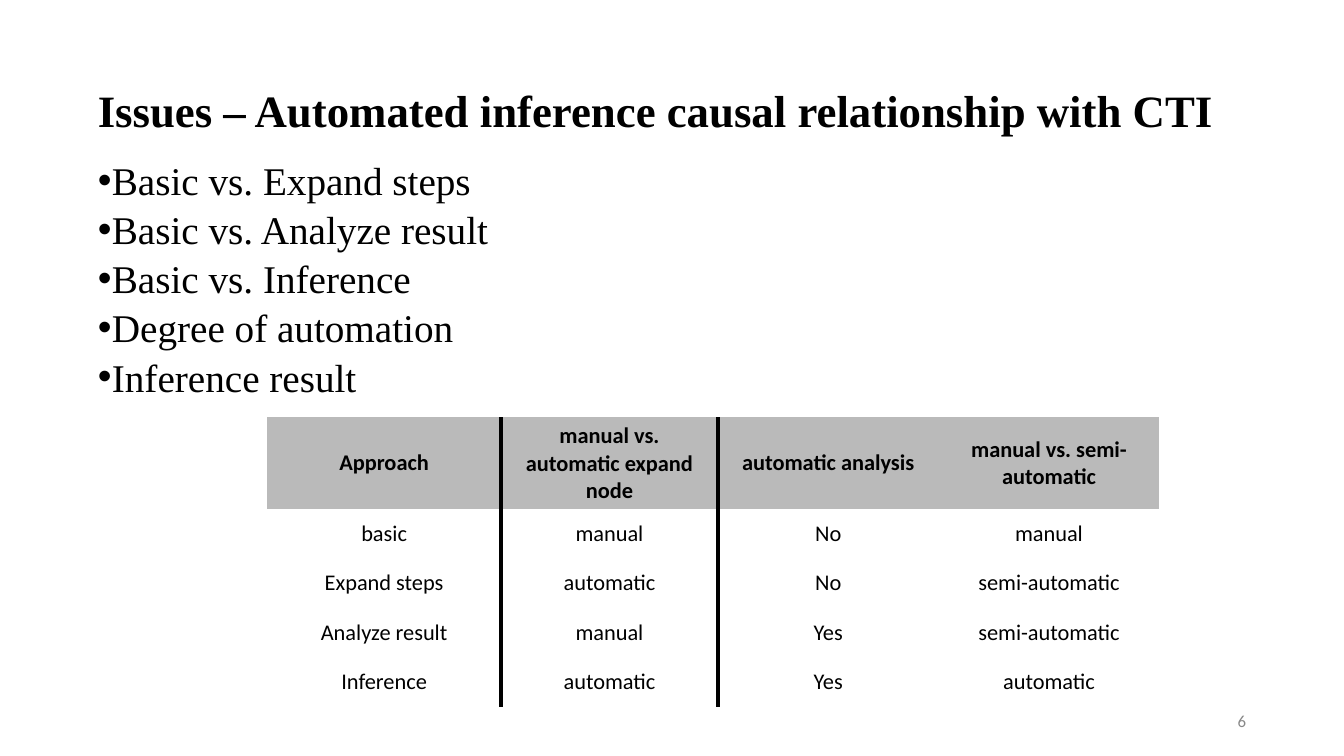
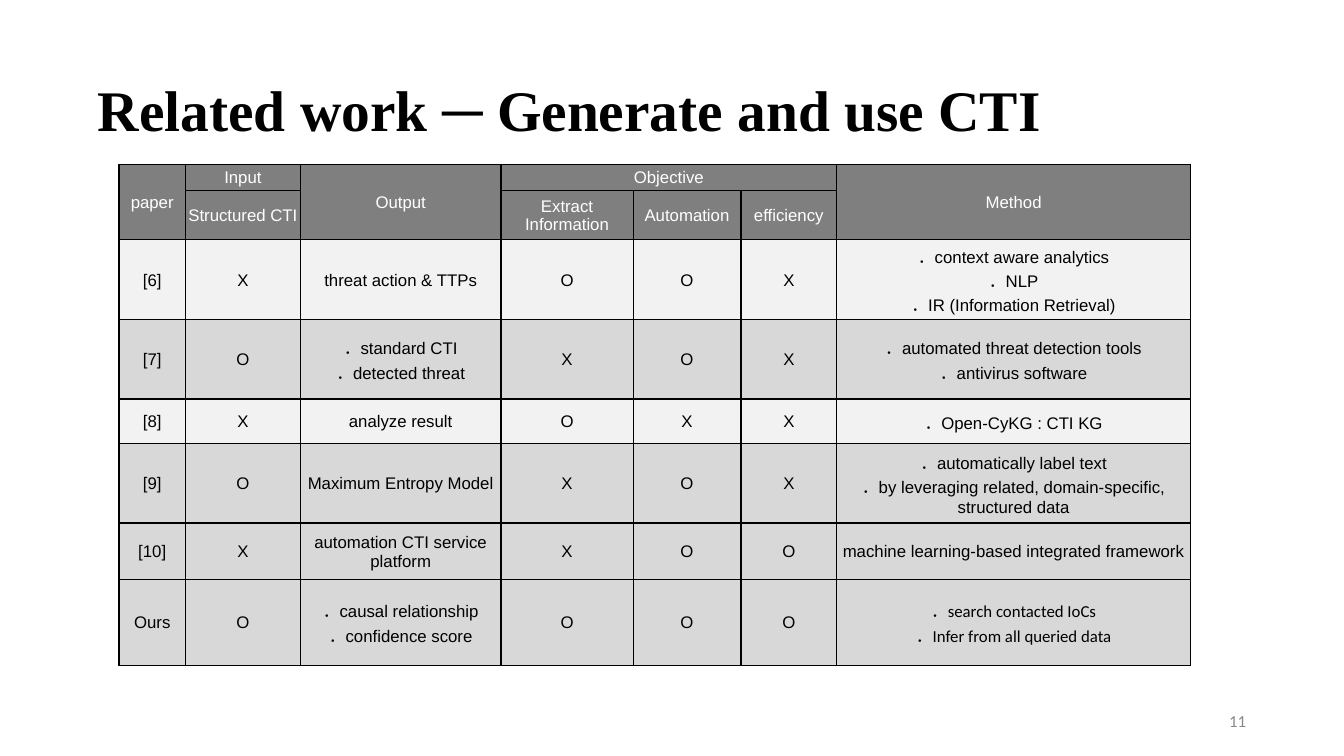
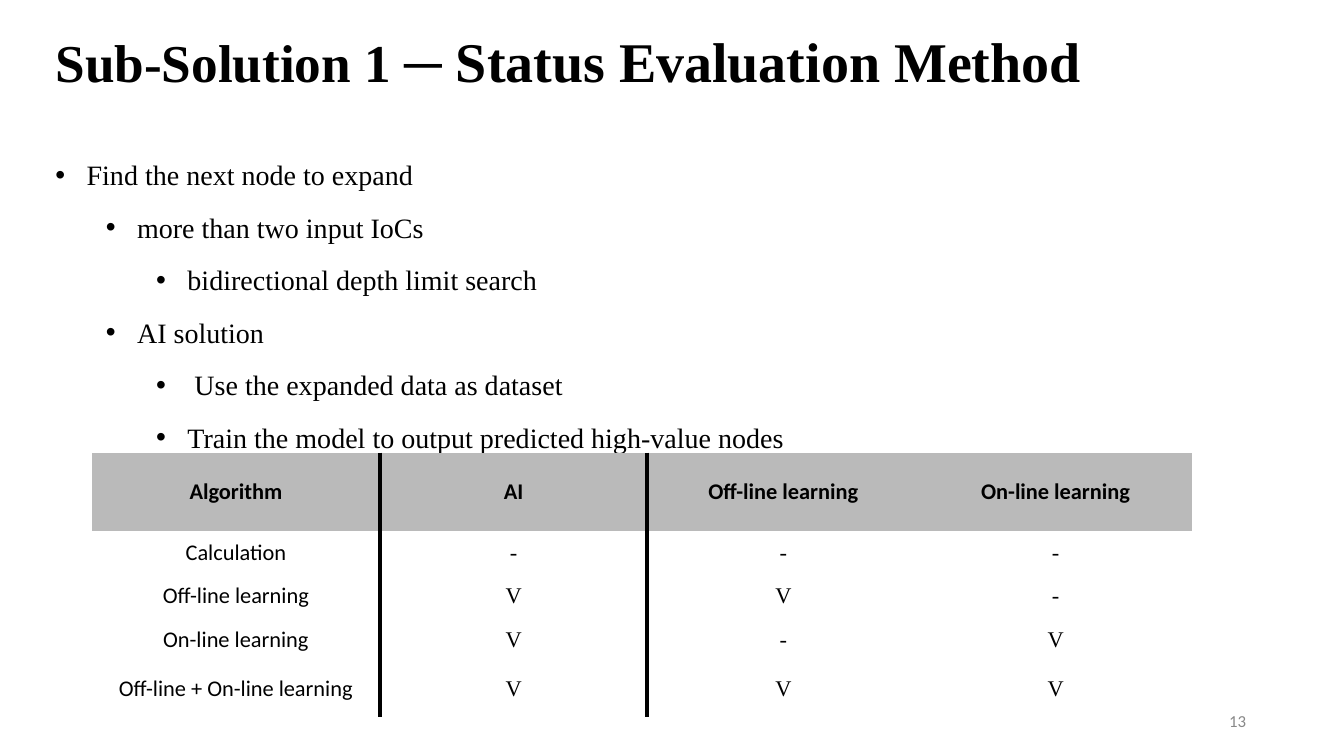
from lxml.etree import SubElement
from pptx import Presentation
from pptx.dml.color import RGBColor
from pptx.enum.text import MSO_ANCHOR as Anchor, PP_ALIGN as Align
from pptx.oxml.ns import qn
from pptx.util import Inches, Pt

SERIF, SANS, GRID = "Times New Roman", "Calibri", "Arial"
BLACK, WHITE, FOOTER = "000000", "FFFFFF", "888888"
HEADER, GRID_HEADER, LIGHT, SHADE = "BABABA", "7F7F7F", "F2F2F2", "D8D8D8"


def color(value):
    return RGBColor.from_string(value)


def add_span(para, text, font=SERIF, size=20, ink=BLACK, bold=False):
    span = para.add_run()
    span.text = text
    span.font.name, span.font.size, span.font.bold = font, Pt(size), bold
    span.font.color.rgb = color(ink)


def write(frame, paragraphs, align=Align.LEFT, line=1.0, before=0, **style):
    """Each paragraph is a string or a list of (text, style) spans."""
    for index, content in enumerate(paragraphs):
        para = frame.add_paragraph() if index else frame.paragraphs[0]
        para.alignment, para.line_spacing = align, line
        para.space_before = Pt(before)
        spans = [(content, {})] if isinstance(content, str) else content
        for text, changes in spans:
            for number, part in enumerate(text.split("\n")):
                if number:
                    para.add_line_break()
                add_span(para, part, **{**style, **changes})


def add_bullet(para, level, indent, step):
    props = para._p.get_or_add_pPr()
    props.set("marL", str(Inches(indent + level * step)))
    props.set("indent", str(-Inches(indent)))
    fill = SubElement(props, qn("a:buClr"))
    SubElement(fill, qn("a:srgbClr"), val=BLACK)
    SubElement(props, qn("a:buFont"), typeface="Arial")
    SubElement(props, qn("a:buChar"), char="•")


def set_borders(cell, widths):
    """Draw the sides named in widths (points) and clear the others."""
    props = cell._tc.get_or_add_tcPr()
    for side in "LRTB":
        width = widths.get(side, 0)
        line = SubElement(props, qn(f"a:ln{side}"), w=str(Pt(width)))
        if width:
            fill = SubElement(line, qn("a:solidFill"))
            SubElement(fill, qn("a:srgbClr"), val=BLACK)
        else:
            SubElement(line, qn("a:noFill"))


class Slides:
    def __init__(self):
        self.deck = Presentation()
        self.deck.slide_width, self.deck.slide_height = Inches(13.33), Inches(7.5)
        self.page = None

    def add_page(self, number):
        self.page = self.deck.slides.add_slide(self.deck.slide_layouts[6])
        self.text((12.13, 7.02, 0.28, 0.27), [str(number)], anchor=Anchor.MIDDLE,
                  wrap=False, align=Align.RIGHT, font=SANS, size=12, ink=FOOTER)

    def text(self, place, paragraphs, anchor=Anchor.TOP, wrap=True, **style):
        box = self.page.shapes.add_textbox(*map(Inches, place))
        frame = box.text_frame
        frame.word_wrap, frame.vertical_anchor = wrap, anchor
        frame.margin_left = frame.margin_right = Inches(0.05)
        frame.margin_top = frame.margin_bottom = Inches(0.05)
        write(frame, paragraphs, **style)
        return frame

    def title(self, content, size, place=(0.92, 0.4, 11.64, 1.45)):
        self.text(place, [content], anchor=Anchor.MIDDLE, line=0.9, size=size, bold=True)

    def bullets(self, place, items, indent, step=0.5, **style):
        """Items are (level, text) pairs."""
        frame = self.text(place, [text for _, text in items], before=1.5, **style)
        for para, (level, _) in zip(frame.paragraphs, items):
            add_bullet(para, level, indent, step)

    def table(self, left, top, columns, heights, rows, look, merges=()):
        """look(row, column) gives fill, borders, margins and text style."""
        table = self.page.shapes.add_table(
            len(rows), len(columns), Inches(left), Inches(top),
            Inches(sum(columns)), Inches(sum(heights))).table
        table.first_row = table.horz_banding = False
        for column, width in zip(table.columns, columns):
            column.width = Inches(width)
        for row, height in zip(table.rows, heights):
            row.height = Inches(height)
        for r, row in enumerate(rows):
            for c, content in enumerate(row):
                self.cell(table.cell(r, c), content, *look(r, c))
        for start, end in merges:
            table.cell(*start).merge(table.cell(*end))

    def cell(self, cell, content, fill, borders, margins, style):
        cell.vertical_anchor = Anchor.MIDDLE
        (cell.margin_left, cell.margin_top,
         cell.margin_right, cell.margin_bottom) = map(Inches, margins)
        set_borders(cell, borders)
        if fill:
            cell.fill.solid()
            cell.fill.fore_color.rgb = color(fill)
        else:
            cell.fill.background()
        if content:
            paragraphs = [content] if isinstance(content, str) else content
            write(cell.text_frame, paragraphs, align=Align.CENTER, **style)

    def comparison(self, left, top, columns, heights, rows, mark_font=SANS):
        """Grey header, no grid, and a heavy rule on both sides of column 1."""
        def look(r, c):
            borders = [{"R": 3}, {"L": 3, "R": 3}, {"L": 3}, {}][c]
            font = mark_font if r and c else SANS
            return (None if r else HEADER, borders, (0.1, 0.05, 0.1, 0.05),
                    dict(font=font, size=16, bold=not r))
        self.table(left, top, columns, heights, rows, look)

    def literature(self, left, top, columns, heights, rows, light_rows, merges):
        """Full grid with a two-row dark header."""
        def look(r, c):
            head = r < 2
            fill = GRID_HEADER if head else LIGHT if r in light_rows else SHADE
            return (fill, dict.fromkeys("LRTB", 1), (0.01, 0.01, 0.01, 0),
                    dict(font=GRID, size=12, ink=WHITE if head else BLACK))
        self.table(left, top, columns, heights, rows, look, merges)


def issues(slides):
    slides.add_page(6)
    slides.title("Issues – Automated inference causal relationship with CTI", 32)
    topics = ["Basic vs. Expand steps", "Basic vs. Analyze result", "Basic vs. Inference",
              "Degree of automation", "Inference result"]
    slides.bullets((0.92, 1.5, 11.5, 5.01), [(0, topic) for topic in topics],
                   indent=0.14, size=28)
    slides.comparison(2.65, 4.14, [2.32, 2.15, 2.19, 2.19], [0.91] + [0.49] * 4, [
        ["Approach", "manual vs. automatic expand node", "automatic analysis",
         "manual vs. semi-automatic"],
        ["basic", "manual", "No", "manual"],
        ["Expand steps", "automatic", "No", "semi-automatic"],
        ["Analyze result", "manual", "Yes", "semi-automatic"],
        ["Inference", "automatic", "Yes", "automatic"],
    ])


def related_work(slides):
    slides.add_page(11)
    slides.title("Related work ─ Generate and use CTI", 41)
    our_method = [[("．", {}), (text, {"font": SANS})]
                  for text in ("search contacted IoCs", "Infer from all queried data")]
    slides.literature(
        1.18, 1.63, [0.66, 1.14, 1.99, 1.31, 1.07, 0.95, 3.51],
        [0.26, 0.49, 0.79, 0.79, 0.44, 0.79, 0.56, 0.85],
        [
            ["paper", "Input", "Output", "Objective", "", "", "Method"],
            ["", "Structured CTI", "", "Extract Information", "Automation", "efficiency", ""],
            ["[6]", "X", "threat action & TTPs", "O", "O", "X",
             "．context aware analytics\n．NLP\n．IR (Information Retrieval)"],
            ["[7]", "O", "．standard CTI\n．detected threat", "X", "O", "X",
             "．automated threat detection tools\n．antivirus software"],
            ["[8]", "X", "analyze result", "O", "X", "X", "．Open-CyKG : CTI KG"],
            ["[9]", "O", "Maximum Entropy Model", "X", "O", "X",
             "．automatically label text\n"
             "．by leveraging related, domain-specific, structured data"],
            ["[10]", "X", "automation CTI service platform", "X", "O", "O",
             "machine learning-based integrated framework"],
            ["Ours", "O", "．causal relationship\n．confidence score", "O", "O", "O",
             our_method],
        ],
        light_rows=(2, 4),
        merges=[((0, c), (1, c)) for c in (0, 2, 6)] + [((0, 3), (0, 5))])


def status_evaluation(slides):
    slides.add_page(13)
    slides.title([("Sub-Solution 1 ─ ", {"size": 38}), ("Status Evaluation Method", {})],
                 40, place=(0.5, -0.09, 11.5, 1.45))
    slides.bullets((0.5, 1.35, 9.34, 3.13), [
        (0, "Find the next node to expand"),
        (1, "more than two input IoCs"),
        (2, "bidirectional depth limit search"),
        (1, "AI solution"),
        (2, " Use the expanded data as dataset"),
        (2, "Train the model to output predicted high-value nodes"),
    ], indent=0.31, line=1.5)
    slides.comparison(0.91, 4.49, [2.86, 2.65, 2.7, 2.7], [0.78, 0.43, 0.43, 0.43, 0.55], [
        ["Algorithm", "AI", "Off-line learning", "On-line learning"],
        ["Calculation", "-", "-", "-"],
        ["Off-line learning", "V", "V", "-"],
        ["On-line learning", "V", "-", "V"],
        ["Off-line + On-line learning", "V", "V", "V"],
    ], mark_font=SERIF)


def main():
    slides = Slides()
    issues(slides)
    related_work(slides)
    status_evaluation(slides)
    slides.deck.save("out.pptx")


if __name__ == "__main__":
    main()
